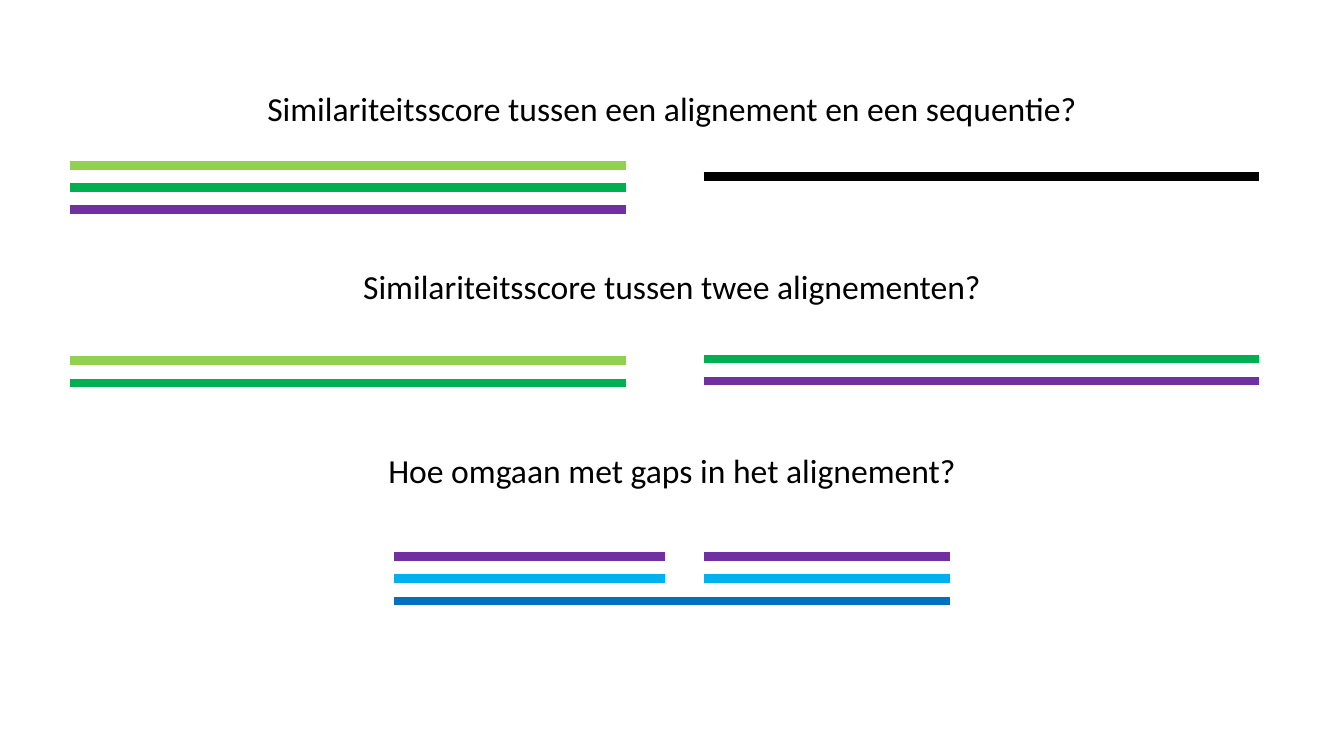
from pptx import Presentation
from pptx.dml.color import RGBColor
from pptx.enum.shapes import MSO_CONNECTOR
from pptx.enum.text import MSO_AUTO_SIZE, PP_ALIGN
from pptx.util import Inches, Pt
from lxml import etree

STRAIGHT = MSO_CONNECTOR.STRAIGHT
FIT_SHAPE = MSO_AUTO_SIZE.SHAPE_TO_FIT_TEXT
CENTER = PP_ALIGN.CENTER

BLACK = RGBColor(0x00, 0x00, 0x00)
LIME = RGBColor(0x92, 0xD0, 0x50)
GREEN = RGBColor(0x00, 0xB0, 0x50)
PURPLE = RGBColor(0x70, 0x30, 0xA0)
SKY = RGBColor(0x00, 0xB0, 0xF0)
BLUE = RGBColor(0x00, 0x70, 0xC0)

LEFT = (5.18, 46.59)
RIGHT = (52.36, 93.7)
MIDDLE = (29.33, 70.67)
BEFORE_GAP = (MIDDLE[0], 49.51)
AFTER_GAP = (RIGHT[0], MIDDLE[1])

A_NS = "http://schemas.openxmlformats.org/drawingml/2006/main"


class AlignmentSlide:
    """Draws questions and sequence bars, with lengths in percent of the slide."""

    font = "Calibri"
    size = Pt(24)
    bar = Pt(6)
    pitch = 2.93
    text_height = 6.73

    def __init__(self, prs):
        self.prs = prs
        self.s = prs.slides.add_slide(prs.slide_layouts[6])

    def x(self, share):
        return int(self.prs.slide_width * share / 100)

    def y(self, share):
        return int(self.prs.slide_height * share / 100)

    def question(self, text, top, width):
        sp = self.s.shapes.add_textbox(self.x(50 - width / 2), self.y(top),
                                       self.x(width), self.y(self.text_height))
        tf = sp.text_frame
        tf.word_wrap = False
        tf.auto_size = FIT_SHAPE
        tf.text = text
        p = tf.paragraphs[0]
        p.alignment = CENTER
        font = p.runs[0].font
        font.name, font.size = self.font, self.size
        font.color.rgb = BLACK

    def sequence(self, shapes, span, row, color):
        x1, x2 = map(self.x, span)
        sp = shapes.add_connector(STRAIGHT, x1, self.y(row), x2, self.y(row))
        sp.line.color.rgb = color
        sp.line.width = self.bar
        etree.SubElement(sp._element.spPr, f"{{{A_NS}}}effectLst")

    def alignment(self, top, *rows):
        shapes = self.s.shapes.add_group_shape().shapes
        for i, (color, *spans) in enumerate(rows):
            for span in spans:
                self.sequence(shapes, span, top + i * self.pitch, color)


def main():
    prs = Presentation()
    prs.slide_width, prs.slide_height = Inches(13.33), Inches(7.5)
    slide = AlignmentSlide(prs)

    slide.question("Similariteitsscore tussen een alignement en een sequentie?", 10.93, 62.34)
    slide.alignment(21.87, (LIME, LEFT), (GREEN, LEFT), (PURPLE, LEFT))
    slide.sequence(slide.s.shapes, RIGHT, 23.33, BLACK)

    slide.question("Similariteitsscore tussen twee alignementen?", 34.53, 47.94)
    slide.alignment(47.7, (LIME, LEFT), (GREEN, LEFT))
    slide.alignment(47.5, (GREEN, RIGHT), (PURPLE, RIGHT))

    slide.question("Hoe omgaan met gaps in het alignement?", 58.8, 44.11)
    slide.alignment(73.6, (PURPLE, BEFORE_GAP, AFTER_GAP),
                    (SKY, BEFORE_GAP, AFTER_GAP), (BLUE, MIDDLE))

    prs.save("out.pptx")


if __name__ == "__main__":
    main()
